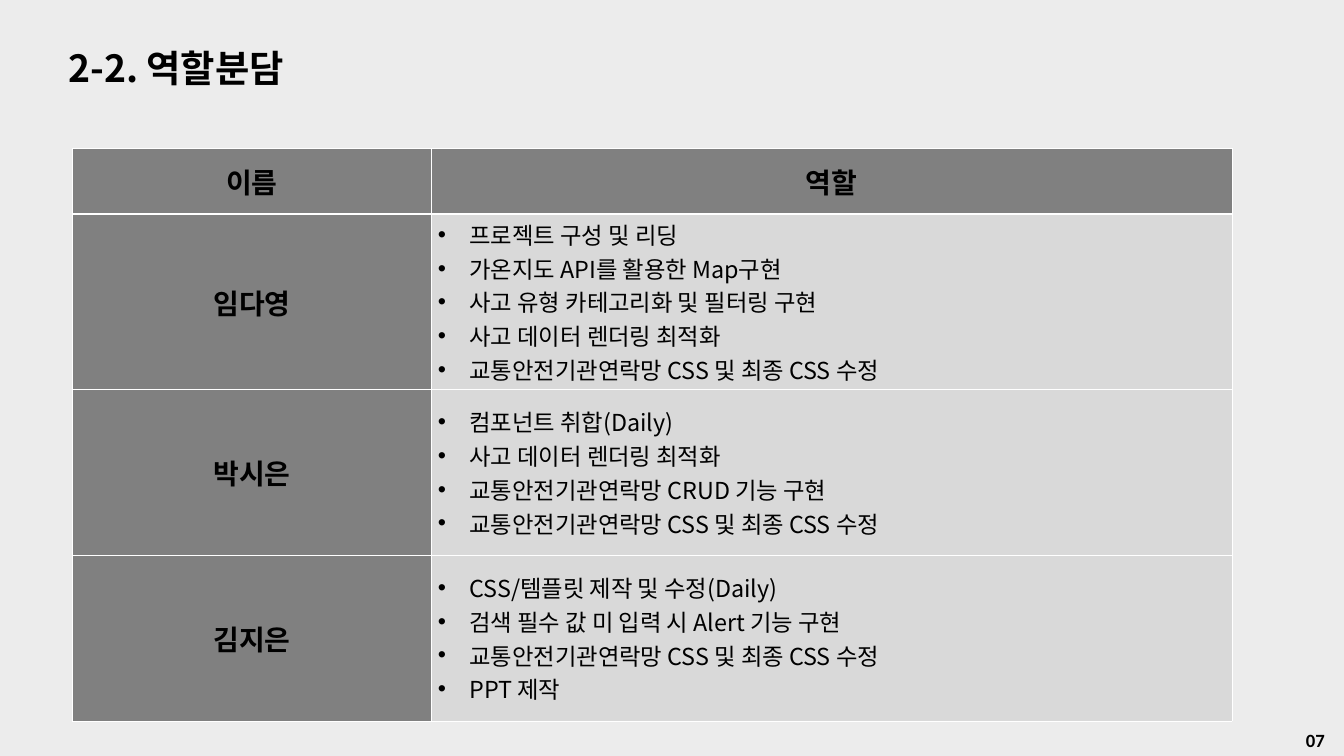
from lxml import etree
from pptx import Presentation
from pptx import util as u
from pptx.dml.color import RGBColor
from pptx.enum import text
from pptx.oxml import ns

COLORS = {
    "background": "ECECEC",
    "text": "000000",
    "header": "808080",
    "body": "D9D9D9",
    "border": "FFFFFF",
}
KOREAN_FONT = "Noto Sans CJK KR"
NUMBER_FONT = "Calibri"
GRID_COLUMNS, GRID_ROWS = 240, 135

HEADINGS = ["이름", "역할"]
ROLES = {
    "임다영": [
        "프로젝트 구성 및 리딩",
        "가온지도 API를 활용한 Map구현",
        "사고 유형 카테고리화 및 필터링 구현",
        "사고 데이터 렌더링 최적화",
        "교통안전기관연락망 CSS 및 최종 CSS 수정",
    ],
    "박시은": [
        "컴포넌트 취합(Daily)",
        "사고 데이터 렌더링 최적화",
        "교통안전기관연락망 CRUD 기능 구현",
        "교통안전기관연락망 CSS 및 최종 CSS 수정",
    ],
    "김지은": [
        "CSS/템플릿 제작 및 수정(Daily)",
        "검색 필수 값 미 입력 시 Alert 기능 구현",
        "교통안전기관연락망 CSS 및 최종 CSS 수정",
        "PPT 제작",
    ],
}


def color(name):
    return RGBColor.from_string(COLORS[name])


class RoleSlide:
    def __init__(self, presentation):
        self.cell_width = presentation.slide_width / GRID_COLUMNS
        self.cell_height = presentation.slide_height / GRID_ROWS
        self.slide = presentation.slides.add_slide(presentation.slide_layouts[5])
        fill = self.slide.background.fill
        fill.solid()
        fill.fore_color.rgb = color("background")

    def across(self, columns):
        return u.Emu(round(columns * self.cell_width))

    def down(self, rows):
        return u.Emu(round(rows * self.cell_height))

    def area(self, left, top, width, height):
        return self.across(left), self.down(top), self.across(width), self.down(height)

    def format(self, paragraph, size, bold=False, font=KOREAN_FONT,
               align=text.PP_ALIGN.LEFT):
        paragraph.alignment = align
        for run in paragraph.runs:
            run.font.size = u.Pt(size)
            run.font.bold = bold
            run.font.name = font
            run.font.color.rgb = color("text")
            east_asian = etree.SubElement(run.font._element, ns.qn("a:ea"))
            east_asian.set("typeface", font)

    def title(self, wording, area):
        shape = self.slide.shapes.title
        shape.left, shape.top, shape.width, shape.height = self.area(*area)
        frame = shape.text_frame
        frame.text = wording
        frame.auto_size = text.MSO_AUTO_SIZE.NONE
        frame.vertical_anchor = text.MSO_ANCHOR.MIDDLE
        self.format(frame.paragraphs[0], 40, bold=True)

    def page_number(self, wording, area):
        frame = self.slide.shapes.add_textbox(*self.area(*area)).text_frame
        frame.word_wrap = True
        frame.text = wording
        self.format(frame.paragraphs[0], 20, bold=True, font=NUMBER_FONT)

    def border(self, cell, side, width):
        properties = cell._tc.get_or_add_tcPr()
        line = etree.SubElement(properties, ns.qn(f"a:ln{side}"), w=str(u.Pt(width)))
        fill = etree.SubElement(line, ns.qn("a:solidFill"))
        etree.SubElement(fill, ns.qn("a:srgbClr"), val=COLORS["border"])

    def style_cell(self, cell, fill, row):
        thick_side = {0: "B", 1: "T"}.get(row)
        for side in "LRTB":
            self.border(cell, side, 3 if side == thick_side else 1)
        cell.fill.solid()
        cell.fill.fore_color.rgb = color(fill)
        cell.vertical_anchor = text.MSO_ANCHOR.MIDDLE

    def heading_cell(self, cell, wording, row):
        self.style_cell(cell, "header", row)
        cell.text_frame.text = wording
        self.format(cell.text_frame.paragraphs[0], 30, bold=True,
                    align=text.PP_ALIGN.CENTER)

    def bullet_cell(self, cell, items, row):
        self.style_cell(cell, "body", row)
        cell.text_frame.text = "\n".join(items)
        indent = u.Inches(0.47)
        for paragraph in cell.text_frame.paragraphs:
            properties = paragraph._p.get_or_add_pPr()
            properties.set("marL", str(indent))
            properties.set("indent", str(-indent))
            etree.SubElement(properties, ns.qn("a:buFont"), typeface="Arial")
            etree.SubElement(properties, ns.qn("a:buChar"), char="•")
            self.format(paragraph, 25)

    def role_table(self, left, top, widths, header_height, row_height):
        heights = [header_height] + [row_height] * len(ROLES)
        area = self.area(left, top, sum(widths), sum(heights))
        table = self.slide.shapes.add_table(len(heights), len(widths), *area).table
        for column, width in zip(table.columns, widths):
            column.width = self.across(width)
        for row, height in zip(table.rows, heights):
            row.height = self.down(height)
        for index, heading in enumerate(HEADINGS):
            self.heading_cell(table.cell(0, index), heading, 0)
        for row, (name, items) in enumerate(ROLES.items(), start=1):
            self.heading_cell(table.cell(row, 0), name, row)
            self.bullet_cell(table.cell(row, 1), items, row)


def main():
    presentation = Presentation()
    presentation.slide_width = u.Inches(20)
    presentation.slide_height = u.Inches(11.25)
    slide = RoleSlide(presentation)
    slide.title("2-2. 역할분담", (11, 7.5, 94, 9))
    slide.role_table(13, 26.5, widths=[64, 143], header_height=11.75, row_height=29.6)
    slide.page_number("07", (232, 129.5, 8, 5))
    presentation.save("out.pptx")


if __name__ == "__main__":
    main()
